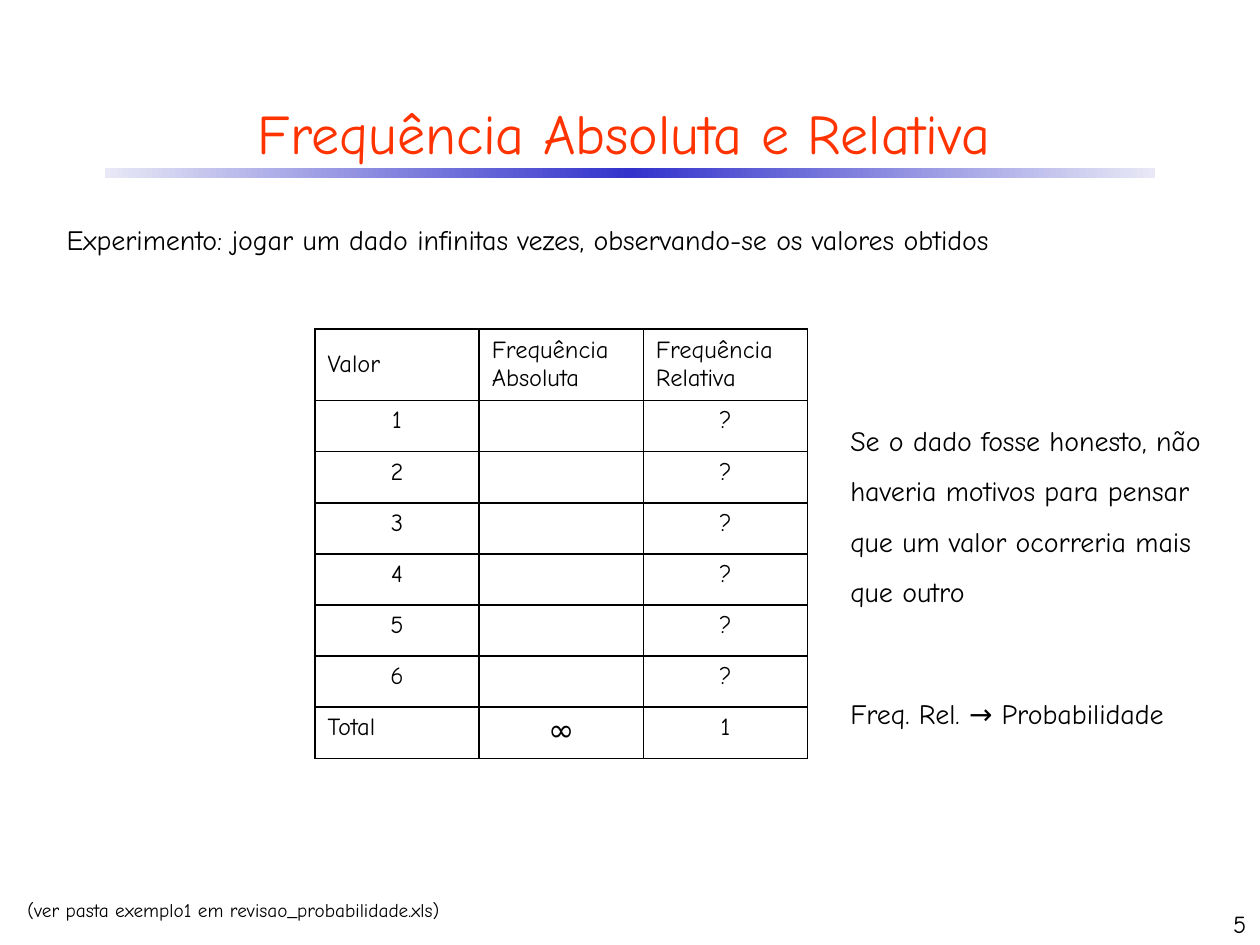
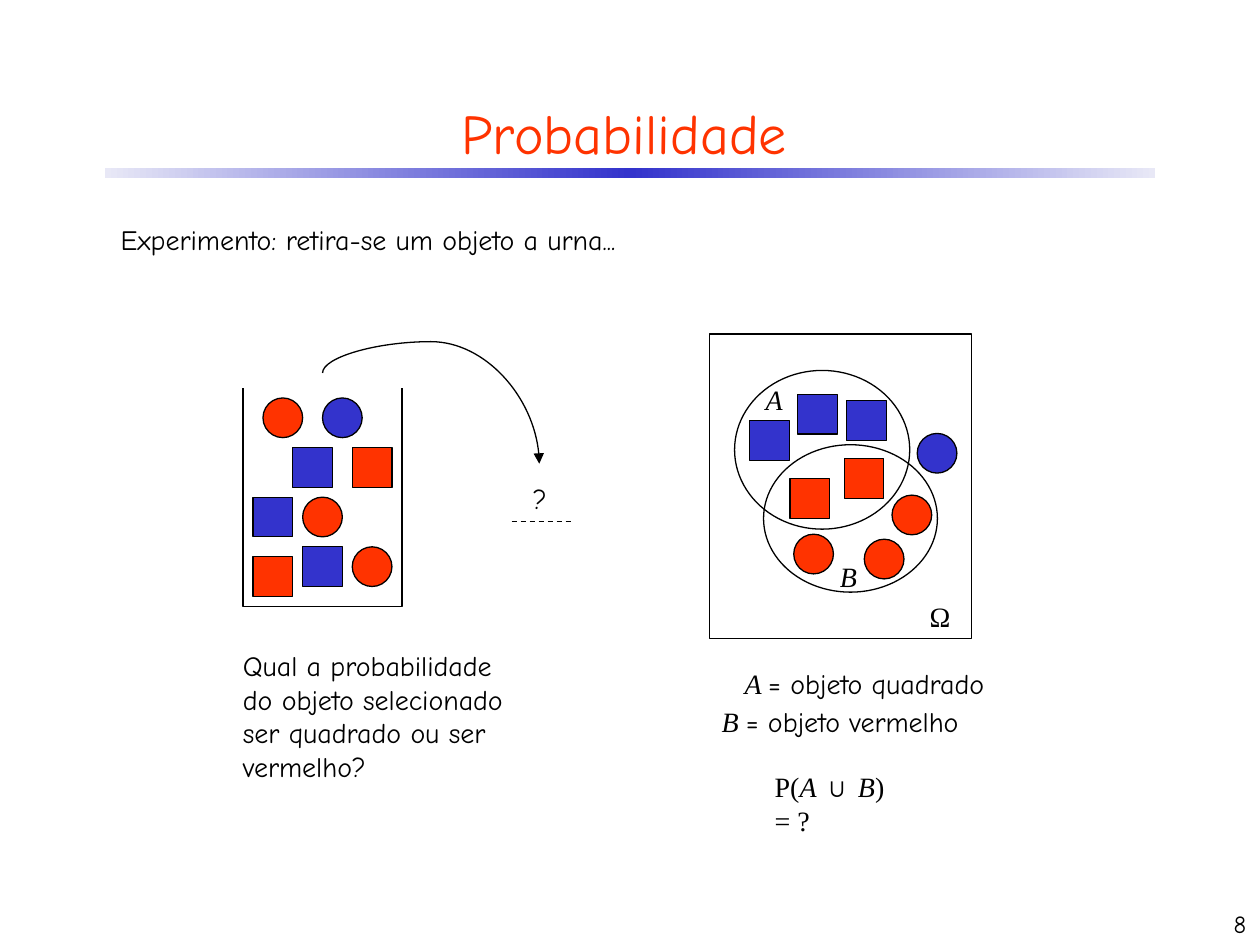
"""Builds two slides on relative frequency and probability."""
from copy import deepcopy

from lxml import etree
from pptx import Presentation
from pptx.dml.color import RGBColor
from pptx.enum.dml import MSO_LINE
from pptx.enum.shapes import MSO_CONNECTOR, MSO_SHAPE
from pptx.enum.text import MSO_ANCHOR, PP_ALIGN
from pptx.oxml.ns import qn
from pptx.util import Inches, Pt

RED = RGBColor(0xFF, 0x33, 0x00)
BLUE = RGBColor(0x33, 0x33, 0xCC)
PALE = RGBColor(0xE8, 0xE8, 0xF6)
BLACK = RGBColor(0, 0, 0)
WHITE = RGBColor(0xFF, 0xFF, 0xFF)
HAND, SERIF = "Comic Neue", "Times New Roman"
LEFT, CENTER, RIGHT = PP_ALIGN.LEFT, PP_ALIGN.CENTER, PP_ALIGN.RIGHT
TOP, MIDDLE, BOTTOM = MSO_ANCHOR.TOP, MSO_ANCHOR.MIDDLE, MSO_ANCHOR.BOTTOM
RECT, OVAL = MSO_SHAPE.RECTANGLE, MSO_SHAPE.OVAL
STRAIGHT, CURVE = MSO_CONNECTOR.STRAIGHT, MSO_CONNECTOR.CURVE
DASH = MSO_LINE.DASH

prs = Presentation()
prs.slide_width, prs.slide_height = Inches(10), Inches(7.5)
CELL = prs.slide_width / 100


def write(paragraph, runs, size, align=LEFT, color=BLACK):
    """Fill a paragraph with (text, font, italic) runs."""
    paragraph.alignment = align
    for text, font, italic in runs:
        for number, line in enumerate(text.split("\n")):
            if number:
                paragraph.add_line_break()
            run = paragraph.add_run()
            run.text = line
            run.font.name, run.font.size = font, Pt(size)
            run.font.italic = italic
            run.font.color.rgb = color


def place_text(slide, area, runs, size=16, align=LEFT, anchor=TOP, spacing=1.0):
    """Add a wrapped text box; the area is given in grid cells."""
    frame = slide.shapes.add_textbox(*(round(v * CELL) for v in area)).text_frame
    frame.word_wrap = True
    frame.vertical_anchor = anchor
    frame.paragraphs[0].line_spacing = spacing
    write(frame.paragraphs[0], runs, size, align)


slides = []
for heading, page in (("Frequência Absoluta e Relativa", "5"), ("Probabilidade", "8")):
    slide = prs.slides.add_slide(prs.slide_layouts[5])
    slides.append(slide)
    band = slide.shapes.add_shape(
        RECT, *(round(v * CELL) for v in (100 / 12, 13.3, 1000 / 12, 0.8)))
    band.shadow.inherit = False
    band.line.fill.background()
    band.fill.gradient()
    band.fill.gradient_angle = 0
    stop_list = band._element.xpath(".//a:gsLst")[0]
    stop_list.append(deepcopy(stop_list[0]))
    for stop, color, position in zip(
            band.fill.gradient_stops, (PALE, BLUE, PALE), (0, 0.5, 1)):
        stop.color.rgb = color
        stop.position = position
    title = slide.shapes.title
    title.left, title.top, title.width, title.height = (
        round(v * CELL) for v in (3.3, 6.7, 92.5, 7.5))
    title.text_frame.vertical_anchor = MIDDLE
    write(title.text_frame.paragraphs[0], [(heading, HAND, False)], 32, CENTER, RED)
    place_text(slide, (79.1, 70, 20.8, 5), [(page, HAND, False)], 14, RIGHT, BOTTOM)

frequency, probability = slides

for area, text, size, spacing in (
    ((1.2, 70.8, 59.4, 2.9), "(ver pasta exemplo1 em revisao_probabilidade.xls)", 11, 1),
    ((4.3, 17.2, 91.4, 3.7),
     "Experimento: jogar um dado infinitas vezes, observando-se os valores obtidos", 16, 1),
    ((66.5, 31.8, 29.9, 17.2),
     "Se o dado fosse honesto, não haveria motivos para pensar que um valor "
     "ocorreria mais que outro", 16, 1.5),
    ((66.5, 53.5, 29.9, 5), "Freq. Rel. → Probabilidade", 16, 1.5),
):
    place_text(frequency, area, [(text, HAND, False)], size, spacing=spacing)

tally = [("Valor", "Frequência\nAbsoluta", "Frequência\nRelativa")]
tally += [(str(face), "", "?") for face in range(1, 7)]
tally.append(("Total", "∞", "1"))
grid = frequency.shapes.add_table(
    len(tally), 3, *(round(v * CELL) for v in (25, 26.1, 39.1, 34.1))).table
for column in grid.columns:
    column.width = round(39.1 * CELL / 3)
for r, record in enumerate(tally):
    grid.rows[r].height = round((28.4 / 7 if r else 5.7) * CELL)
    for c, value in enumerate(record):
        cell = grid.cell(r, c)
        cell.vertical_anchor = TOP if r else MIDDLE
        align = LEFT if r == 0 or value == "Total" else CENTER
        write(cell.text_frame.paragraphs[0], [(value, HAND, False)],
              18 if value == "∞" else 14, align)
        properties = cell._tc.get_or_add_tcPr()
        for side in ("a:lnL", "a:lnR", "a:lnT", "a:lnB"):
            border = etree.SubElement(properties, qn(side), w=str(Pt(1)))
            solid = etree.SubElement(border, qn("a:solidFill"))
            etree.SubElement(solid, qn("a:srgbClr"), val=str(BLACK))
        cell.fill.solid()
        cell.fill.fore_color.rgb = WHITE

STEP = 12.6 / 16
SIDE = 4 * STEP
URN_LEFT, URN_TOP = 19.3, 30.8
urn_right, urn_bottom = URN_LEFT + 16 * STEP, URN_TOP + 22 * STEP
outline = probability.shapes.build_freeform(
    round(URN_LEFT * CELL), round(URN_TOP * CELL))
outline.add_line_segments(
    [(round(x * CELL), round(y * CELL)) for x, y in (
        (URN_LEFT, urn_bottom), (urn_right, urn_bottom), (urn_right, URN_TOP))],
    close=False)
urn = outline.convert_to_shape()
drawn = [(urn, None)]

urn_objects = [
    (OVAL, RED, 2, 1), (OVAL, BLUE, 8, 1), (OVAL, RED, 11, 16), (OVAL, RED, 6, 11),
    (RECT, RED, 1, 17), (RECT, RED, 11, 6), (RECT, BLUE, 5, 6),
    (RECT, BLUE, 1, 11), (RECT, BLUE, 6, 16),
]
venn_objects = [
    (OVAL, RED, 68.6, 42.8), (OVAL, BLUE, 72.8, 34.4), (OVAL, RED, 70.8, 39.3),
    (OVAL, RED, 63, 42.4), (RECT, RED, 62.7, 38), (RECT, RED, 67, 36.4),
    (RECT, BLUE, 67.2, 31.8), (RECT, BLUE, 59.5, 33.4), (RECT, BLUE, 63.3, 31.3),
]
figures = [(kind, color, URN_LEFT + x * STEP, URN_TOP + y * STEP, SIDE, SIDE)
           for kind, color, x, y in urn_objects]
figures.append((RECT, None, 56.3, 26.5, 20.8, 24.2))
figures += [(*item, SIDE, SIDE) for item in venn_objects]
figures += [(OVAL, None, 58.3, 29.4, 13.9, 12.6), (OVAL, None, 60.6, 35.3, 13.8, 11.7)]
for kind, color, *area in figures:
    drawn.append((probability.shapes.add_shape(
        kind, *(round(v * CELL) for v in area)), color))
for figure, color in drawn:
    figure.shadow.inherit = False
    figure.line.color.rgb = BLACK
    figure.line.width = Pt(0.75)
    if color is None:
        figure.fill.background()
    else:
        figure.fill.solid()
        figure.fill.fore_color.rgb = color

draw_arrow, answer_line = (
    probability.shapes.add_connector(kind, *(round(v * CELL) for v in ends))
    for kind, ends in ((CURVE, (30.6, 41.8, 37.8, 24.6)),
                       (STRAIGHT, (40.6, 41.4, 45.3, 41.4))))
for connector in (draw_arrow, answer_line):
    connector.line.color.rgb = BLACK
    connector.line.width = Pt(0.75)
answer_line.line.dash_style = DASH
etree.SubElement(draw_arrow.line._get_or_add_ln(), qn("a:tailEnd"), type="triangle")
draw_arrow._element.spPr.find(qn("a:xfrm")).set("rot", str(90 * 60000))
bends = draw_arrow._element.xpath(".//a:prstGeom")[0].get_or_add_avLst()
etree.SubElement(bends, qn("a:gd"), name="adj1", fmla="val -34600")
for connector in (draw_arrow, answer_line):
    etree.SubElement(connector._element.spPr, qn("a:effectLst"))

for area, runs, align in (
    ((8.6, 17.2, 59.4, 3.7),
     [("Experimento: retira-se um objeto a urna...", HAND, False)], LEFT),
    ((41.3, 37.7, 3.2, 3.7), [("?", HAND, False)], LEFT),
    ((18.3, 51, 24.6, 11.7),
     [("Qual a probabilidade do objeto selecionado ser quadrado ou ser vermelho?",
       HAND, False)], LEFT),
    ((59.7, 29.9, 3.4, 3.7), [("A", SERIF, True)], RIGHT),
    ((65.6, 43.9, 3.4, 3.7), [("B", SERIF, True)], RIGHT),
    ((72.7, 47.1, 3.7, 3.7), [("Ω", SERIF, False)], RIGHT),
    ((56.3, 52.4, 22.8, 3.7),
     [("A ", SERIF, True), ("= objeto quadrado", HAND, False)], RIGHT),
    ((56.3, 55.4, 22.7, 3.7),
     [("B ", SERIF, True), ("= objeto vermelho", HAND, False)], LEFT),
    ((60.5, 60.6, 12, 3.7),
     [("P(", SERIF, False), ("A ", SERIF, True), ("∪ ", SERIF, False),
      ("B", SERIF, True), (") = ?", SERIF, False)], LEFT),
):
    place_text(probability, area, runs, align=align)

prs.save("out.pptx")
